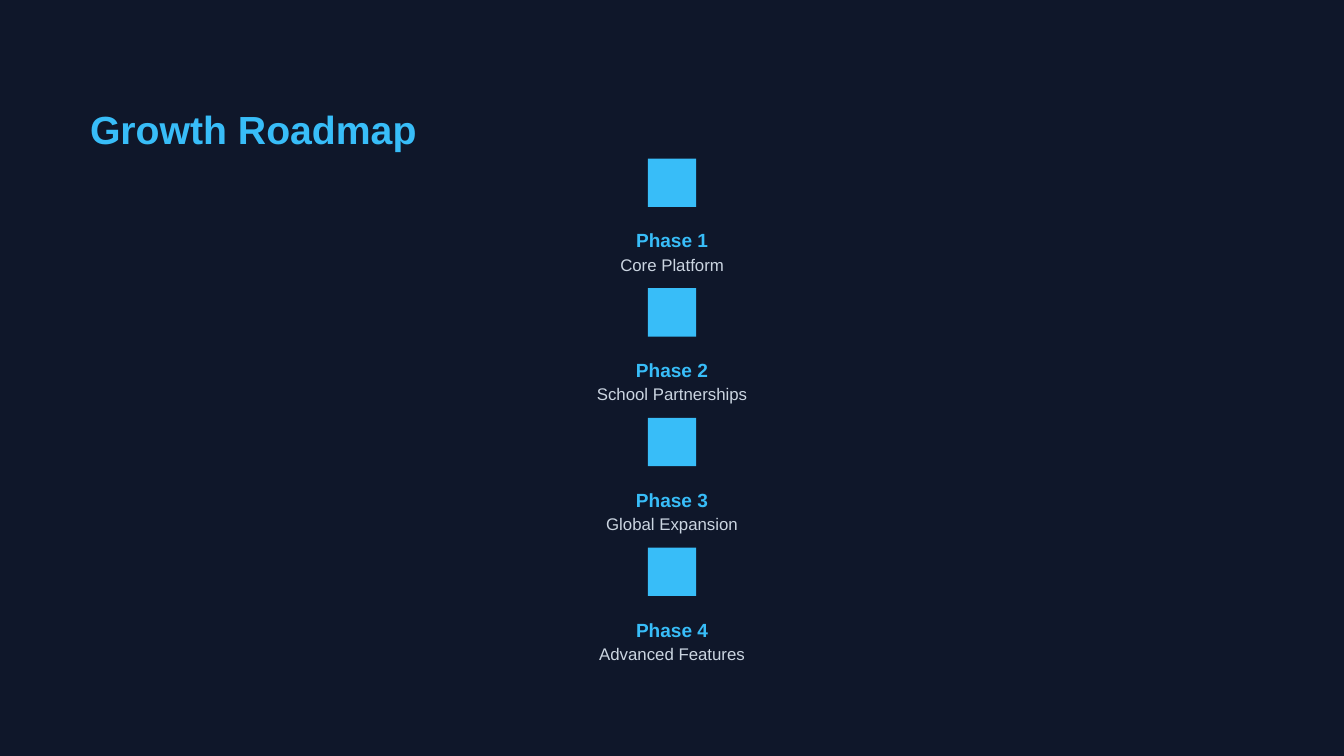
from dataclasses import dataclass

from pptx import Presentation
from pptx.dml.color import RGBColor
from pptx.enum.shapes import MSO_SHAPE
from pptx.enum.text import PP_ALIGN
from pptx.util import Emu, Pt

RECT = MSO_SHAPE.RECTANGLE
LEFT, CENTER = PP_ALIGN.LEFT, PP_ALIGN.CENTER

EMU_PER_PX = 4572
SLIDE_W, SLIDE_H = 2000, 1125
MARKER = 72
FIRST_TOP, PITCH = 236, 193
NAME_DY, DETAIL_DY = 86, 126

FONT = "Arial"
COLORS = {"background": "0F172A", "accent": "38BDF8", "detail": "CBD5E1"}


@dataclass(frozen=True)
class TextStyle:
    size: float
    leading: float
    color: str
    bold: bool
    align: PP_ALIGN


@dataclass(frozen=True)
class Phase:
    name: str
    detail: str
    width: int


TITLE = TextStyle(21, 33.6, "accent", True, LEFT)
NAME = TextStyle(10.2, 19, "accent", True, CENTER)
DETAIL = TextStyle(9, 16.8, "detail", False, CENTER)

PHASES = [
    Phase("Phase 1", "Core Platform", 158),
    Phase("Phase 2", "School Partnerships", 228),
    Phase("Phase 3", "Global Expansion", 200),
    Phase("Phase 4", "Advanced Features", 222),
]


def px(n: int) -> Emu:
    return Emu(n * EMU_PER_PX)


def rgb(name: str) -> RGBColor:
    return RGBColor.from_string(COLORS[name])


def add_text(s, text: str, x: int, y: int, w: int, h: int, style: TextStyle) -> None:
    tf = s.shapes.add_textbox(px(x), px(y), px(w), px(h)).text_frame
    tf.margin_left = tf.margin_top = tf.margin_right = tf.margin_bottom = 0
    tf.word_wrap = True
    tf.text = text
    p = tf.paragraphs[0]
    p.alignment = style.align
    p.line_spacing = Pt(style.leading)
    font = p.runs[0].font
    font.name = FONT
    font.size = Pt(style.size)
    font.bold = style.bold
    font.color.rgb = rgb(style.color)


def add_marker(s, y: int) -> None:
    x = (SLIDE_W - MARKER) // 2
    sp = s.shapes.add_shape(RECT, px(x), px(y), px(MARKER), px(MARKER))
    sp.shadow.inherit = False
    sp.fill.solid()
    sp.fill.fore_color.rgb = rgb("accent")
    sp.line.fill.background()


def add_phase(s, phase: Phase, y: int) -> None:
    x = (SLIDE_W - phase.width) // 2
    add_marker(s, y)
    add_text(s, phase.name, x, y + NAME_DY, phase.width, 40, NAME)
    add_text(s, phase.detail, x, y + DETAIL_DY, phase.width, 34, DETAIL)


def main() -> None:
    prs = Presentation()
    prs.slide_width, prs.slide_height = px(SLIDE_W), px(SLIDE_H)
    s = prs.slides.add_slide(prs.slide_layouts[6])
    s.background.fill.solid()
    s.background.fill.fore_color.rgb = rgb("background")
    add_text(s, "Growth Roadmap", 134, 134, 1768, 70, TITLE)
    for i, phase in enumerate(PHASES):
        add_phase(s, phase, FIRST_TOP + i * PITCH)
    prs.save("out.pptx")


if __name__ == "__main__":
    main()
